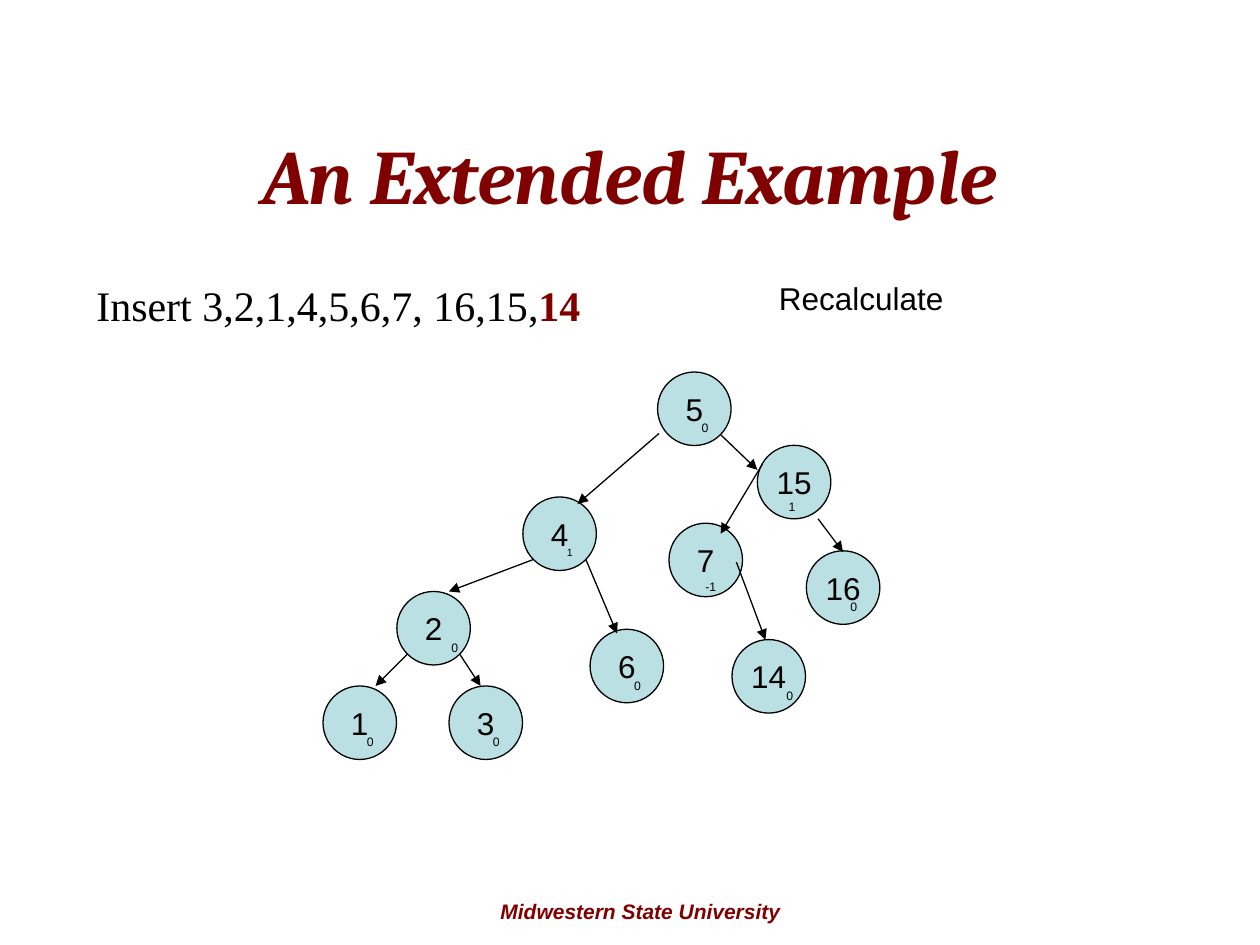
"""Build a slide showing an AVL tree with its recalculated balance factors."""
from dataclasses import dataclass

import lxml.etree
import pptx
import pptx.dml.color
import pptx.enum.shapes
import pptx.enum.text
import pptx.oxml.ns
import pptx.util

Pt = pptx.util.Pt
CENTER = pptx.enum.text.PP_ALIGN.CENTER
MIDDLE = pptx.enum.text.MSO_ANCHOR.MIDDLE
BLACK, MAROON, PALE_TEAL = "000000", "800000", "BBE0E3"
DIAMETER = 42
LINE_WIDTH = 0.75


@dataclass
class Span:
    text: str
    size: float
    name: str = "Arial"
    colour: str = BLACK
    bold: bool = False
    italic: bool = False


@dataclass
class Node:
    key: int
    left: float
    top: float
    balance: int = 0
    shift: tuple = (18, 24.2)
    balance_size: float = 7


@dataclass
class Edge:
    start: tuple
    end: tuple


NODES = [
    Node(5, 375.8, 212.6),
    Node(4, 298.8, 284, 1, (18, 24.2), 6),
    Node(15, 432.8, 254.5, 1, (10.8, 27)),
    Node(2, 226.8, 338, 0, (24, 24.2)),
    Node(6, 337.2, 359.6),
    Node(7, 382.3, 299, -1, (13.7, 28.6)),
    Node(16, 460.8, 314.8),
    Node(1, 184.6, 392),
    Node(3, 256.6, 392),
    Node(14, 418.3, 365.5, 0, (24, 24.2)),
]

EDGES = [
    Edge((376.6, 247.7), (330, 288)),
    Edge((411.8, 248.4), (432.8, 268.5)),
    Edge((304.6, 319.8), (256.5, 338)),
    Edge((334.8, 319.8), (352.6, 362)),
    Edge((232.6, 374), (214.6, 392)),
    Edge((262.8, 374), (274.6, 392)),
    Edge((435.8, 265), (411.8, 305)),
    Edge((467.5, 296.5), (481.7, 315.4)),
    Edge((420.8, 321.2), (437.4, 365.6)),
]


def colour(code: str) -> pptx.dml.color.RGBColor:
    """Turn a hex string into a colour."""
    return pptx.dml.color.RGBColor.from_string(code)


def write_spans(shape, spans: list[Span], **layout) -> None:
    """Fill a shape with one formatted paragraph."""
    frame = shape.text_frame
    for name, value in layout.items():
        setattr(frame, name, value)
    para = frame.paragraphs[0]
    para.alignment = CENTER if frame.vertical_anchor == MIDDLE else None
    for item in spans:
        span = para.add_run()
        span.text = item.text
        formats = {"size": Pt(item.size), "name": item.name,
                   "bold": item.bold, "italic": item.italic}
        for name, value in formats.items():
            setattr(span.font, name, value)
        span.font.color.rgb = colour(item.colour)


def add_text(page, bounds: tuple, spans: list[Span], **layout) -> None:
    """Add a wrapping text box with left, top, width and height in points."""
    box = page.shapes.add_textbox(*map(Pt, bounds))
    write_spans(box, spans, word_wrap=True, **layout)


def add_node(page, node: Node) -> None:
    """Draw a tree node with its key and its small balance factor."""
    circle = page.shapes.add_shape(
        pptx.enum.shapes.MSO_SHAPE.OVAL,
        Pt(node.left), Pt(node.top), Pt(DIAMETER), Pt(DIAMETER))
    circle.shadow.inherit = False
    circle.fill.solid()
    circle.fill.fore_color.rgb = colour(PALE_TEAL)
    circle.line.color.rgb = colour(BLACK)
    circle.line.width = Pt(LINE_WIDTH)
    write_spans(circle, [Span(str(node.key), 18)],
                word_wrap=False, vertical_anchor=MIDDLE)
    right, down = node.shift
    add_text(page, (node.left + right, node.top + down, 24, 15.8),
             [Span(str(node.balance), node.balance_size)])


def add_edge(page, edge: Edge) -> None:
    """Draw an arrow from a parent node to its child."""
    arrow = page.shapes.add_connector(
        pptx.enum.shapes.MSO_CONNECTOR.STRAIGHT,
        *map(Pt, edge.start + edge.end))
    arrow.line.color.rgb = colour(BLACK)
    arrow.line.width = Pt(LINE_WIDTH)
    qn = pptx.oxml.ns.qn
    properties = arrow.element.spPr
    lxml.etree.SubElement(properties.find(qn("a:ln")), qn("a:tailEnd"), type="triangle")
    lxml.etree.SubElement(properties, qn("a:effectLst"))


def main() -> None:
    """Assemble and save the slide."""
    deck = pptx.Presentation()
    deck.slide_width, deck.slide_height = Pt(720), Pt(540)
    page = deck.slides.add_slide(deck.slide_layouts[6])
    add_text(page, (252, 510, 228, 21.6),
             [Span("Midwestern State University", 12, "Arial", MAROON, True, True)],
             vertical_anchor=MIDDLE)
    add_text(page, (36, 54, 648, 90),
             [Span("An Extended Example", 44, "Cambria", MAROON, True, True)],
             vertical_anchor=MIDDLE)
    add_text(page, (48, 156, 510, 36),
             [Span("Insert 3,2,1,4,5,6,7, 16,15,", 24, "Times New Roman"),
              Span("14", 24, "Times New Roman", MAROON, True)])
    add_text(page, (438, 156, 240, 28.8), [Span("Recalculate", 18)])
    for node in NODES:
        add_node(page, node)
    for edge in EDGES:
        add_edge(page, edge)
    deck.save("out.pptx")


if __name__ == "__main__":
    main()
